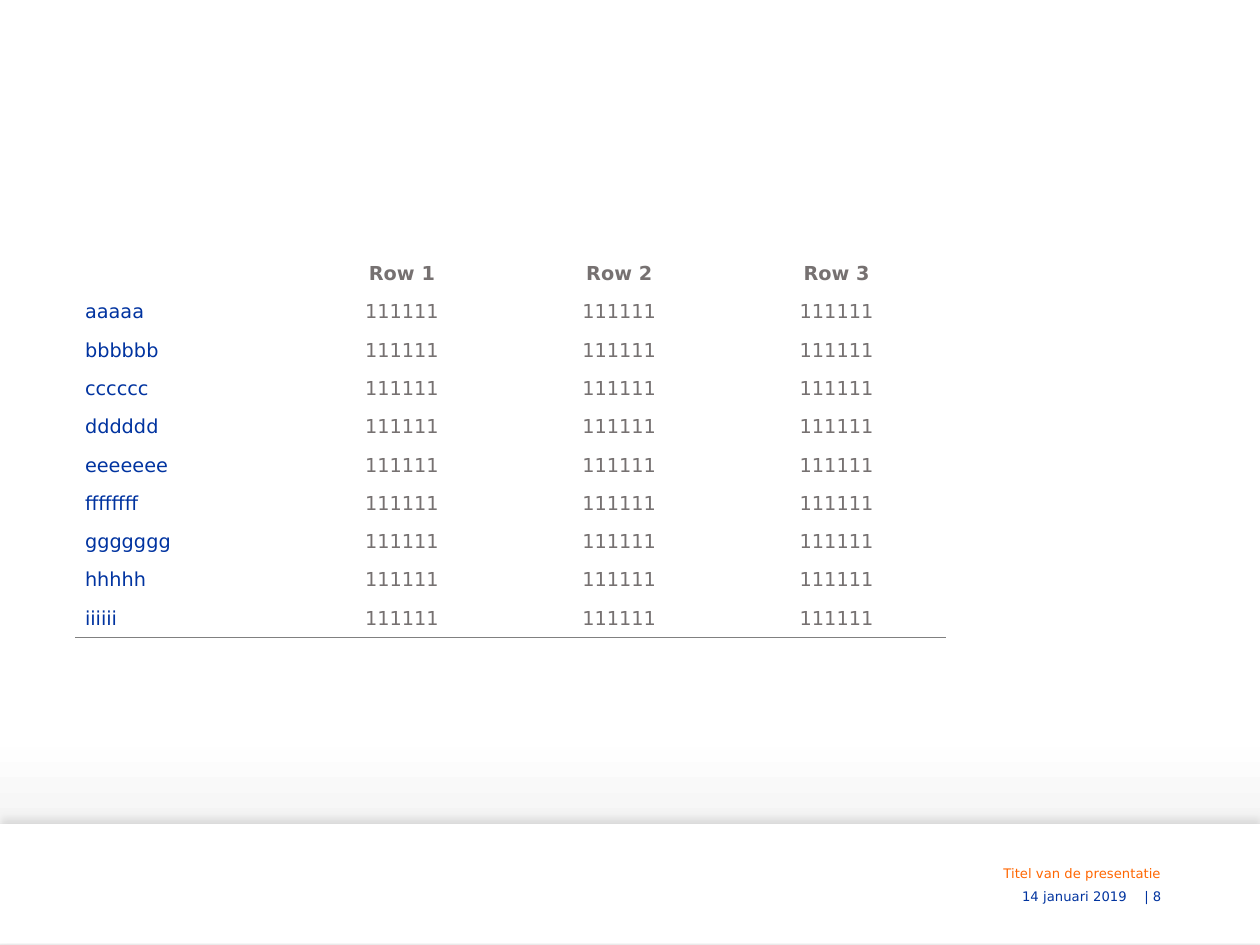
from lxml.etree import SubElement
from pptx import Presentation
from pptx.dml.color import RGBColor
from pptx.enum.shapes import MSO_SHAPE
from pptx.enum.text import MSO_ANCHOR, PP_ALIGN
from pptx.oxml import parse_xml
from pptx.oxml.ns import nsdecls, qn
from pptx.util import Pt

COLORS = {"white": "FFFFFF", "near_white": "FEFEFE", "mist": "EDEDED",
          "shadow": "000000", "rule": "808080", "gray": "767171",
          "label": "0033A0", "footer": "00339F", "orange": "FF6600"}
FONT = "DejaVu Sans"


def style_text(p, size, color, align, bold=False):
    p.alignment = align
    for r in p.runs:
        r.font.name = FONT
        r.font.size = Pt(size)
        r.font.bold = bold
        r.font.color.rgb = RGBColor.from_string(COLORS[color])


prs = Presentation()
prs.slide_width = Pt(720)
prs.slide_height = Pt(540)
s = prs.slides.add_slide(prs.slide_layouts[6])

fill = s.background.fill
fill.gradient()
fill.gradient_angle = 270
stops = s.element.find(".//" + qn("a:gsLst"))
for stop in list(stops):
    stops.remove(stop)
for percent, color in [(0, "white"), (79, "near_white"), (92, "mist"), (100, "mist")]:
    stop = SubElement(stops, qn("a:gs"), pos=str(percent * 1000))
    SubElement(stop, qn("a:srgbClr"), val=COLORS[color])

band = s.shapes.add_shape(MSO_SHAPE.RECTANGLE, 0, Pt(470.9), Pt(720), Pt(68.4))
band.fill.solid()
band.fill.fore_color.rgb = RGBColor.from_string(COLORS["white"])
band.line.fill.background()
band.element.spPr.append(parse_xml(
    f'<a:effectLst {nsdecls("a")}>'
    f'<a:outerShdw blurRad="{Pt(4)}" dist="{Pt(3)}" dir="16200000" algn="b" rotWithShape="0">'
    f'<a:srgbClr val="{COLORS["shadow"]}"><a:alpha val="10000"/></a:srgbClr>'
    '</a:outerShdw></a:effectLst>'))

labels = ["aaaaa", "bbbbbb", "cccccc", "dddddd", "eeeeeee",
          "ffffffff", "ggggggg", "hhhhh", "iiiiii"]
rows = [["", "Row 1", "Row 2", "Row 3"]] + [[label] + ["111111"] * 3 for label in labels]
table = s.shapes.add_table(len(rows), 4, Pt(43.4), Pt(145.6), Pt(496.8), Pt(219)).table
table.first_row = False
table.horz_banding = False
for column in table.columns:
    column.width = Pt(124.2)
for i, values in enumerate(rows):
    table.rows[i].height = Pt(21.9)
    for j, value in enumerate(values):
        cell = table.cell(i, j)
        cell.fill.background()
        cell.vertical_anchor = MSO_ANCHOR.MIDDLE
        cell.margin_left = cell.margin_right = Pt(5.2)
        cell.margin_top = cell.margin_bottom = Pt(2.6)
        p = cell.text_frame.paragraphs[0]
        p.text = value
        style_text(p, 11, "gray" if j else "label",
                   PP_ALIGN.CENTER if j else PP_ALIGN.LEFT, bold=i == 0)
        if not value:
            SubElement(p._p, qn("a:endParaRPr"), sz="1100")
        cell._tc.get_or_add_tcPr().insert(0, parse_xml(
            f'<a:lnB {nsdecls("a")} w="{Pt(0.75)}"><a:solidFill>'
            f'<a:srgbClr val="{COLORS["rule"]}"/></a:solidFill></a:lnB>'))

footers = [("14 januari 2019", "footer", 508.3, 505.4, 142.6, 13.7),
           ("Titel van de presentatie", "orange", 508.3, 493.2, 162, 12.2),
           ("| 8", "footer", 630.4, 505.4, 40.3, 13.7)]
for text, color, left, top, width, height in footers:
    tf = s.shapes.add_textbox(Pt(left), Pt(top), Pt(width), Pt(height)).text_frame
    tf.word_wrap = True
    tf.vertical_anchor = MSO_ANCHOR.MIDDLE
    tf.margin_top = tf.margin_bottom = 0
    tf.text = text
    style_text(tf.paragraphs[0], 7.5, color, PP_ALIGN.RIGHT)

prs.save("out.pptx")
